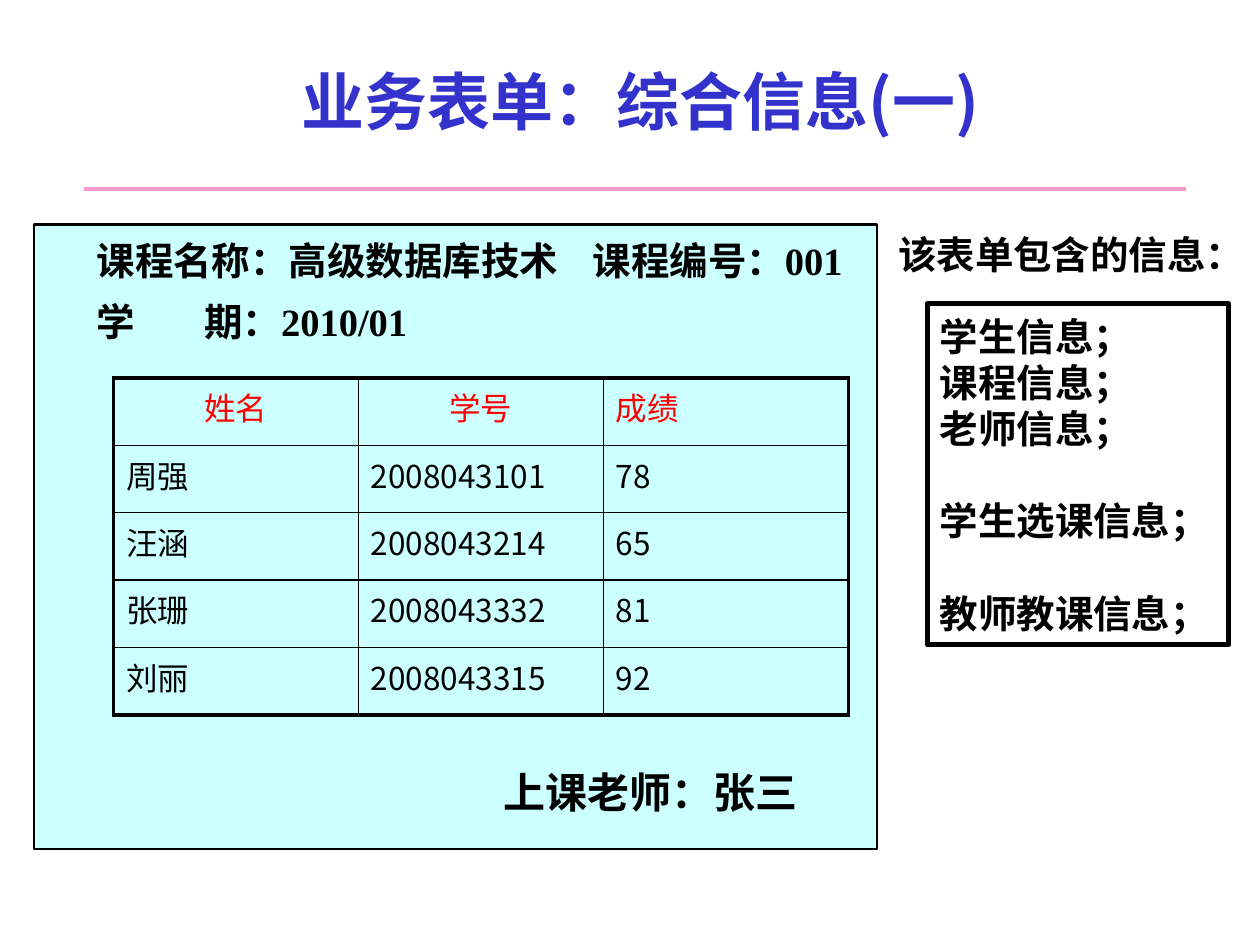
from typing import NamedTuple

import lxml.etree
import pptx
import pptx.dml.color
import pptx.enum.shapes
import pptx.enum.text
import pptx.oxml.ns
import pptx.util

Pt = pptx.util.Pt
Align = pptx.enum.text.PP_ALIGN
Anchor = pptx.enum.text.MSO_ANCHOR
qn = pptx.oxml.ns.qn
CJK = "Noto Sans CJK SC"
LATIN = "Times New Roman"
BLACK = "000000"
LINE_HEIGHT = 26.4


class Line(NamedTuple):
    text: str
    before: float = 0
    tab: float = 0


class Label(NamedTuple):
    left: float
    top: float
    width: float
    height: float
    size: float
    lines: list[Line]


COURSE = Label(48.2, 131.8, 452, 70.6, 22, [
    Line("课程名称：高级数据库技术\t课程编号：001", tab=283.5),
    Line("学\t期：2010/01", before=8.6, tab=61.5),
])
TEACHER = Label(280.8, 434.2, 183.6, 36, 24, [Line("上课老师：张三")])
HEADING = Label(506.2, 128.2, 213.8, 33.8, 22, [Line("该表单包含的信息：")])
CONTENTS = Label(530, 173.5, 172, 195, 22, [
    Line("学生信息；"),
    Line("课程信息；"),
    Line("老师信息；"),
    Line("学生选课信息；", before=LINE_HEIGHT),
    Line("教师教课信息；", before=LINE_HEIGHT),
])
GRADES = [
    ("姓名", "学号", "成绩"),
    ("周强", "2008043101", "78"),
    ("汪涵", "2008043214", "65"),
    ("张珊", "2008043332", "81"),
    ("刘丽", "2008043315", "92"),
]


def rgb(value: str) -> pptx.dml.color.RGBColor:
    return pptx.dml.color.RGBColor.from_string(value)


def style(para, size: float, name: str, color: str = BLACK, bold: bool = False) -> None:
    font = para.font
    font.size, font.name, font.bold = Pt(size), name, bold
    font.color.rgb = rgb(color)
    properties = para._p.get_or_add_pPr().find(qn("a:defRPr"))
    lxml.etree.SubElement(properties, qn("a:ea"), typeface=CJK)


def write_lines(frame, label: Label, wrap: bool) -> None:
    frame.word_wrap = wrap
    for index, line in enumerate(label.lines):
        para = frame.paragraphs[0] if index == 0 else frame.add_paragraph()
        para.text = line.text
        para.alignment = Align.LEFT
        if line.before:
            para.space_before = Pt(line.before)
        if line.tab:
            tabs = lxml.etree.SubElement(para._p.get_or_add_pPr(), qn("a:tabLst"))
            lxml.etree.SubElement(tabs, qn("a:tab"), pos=str(Pt(line.tab)), algn="l")
        style(para, label.size, LATIN, bold=True)


def add_label(page, label: Label, wrap: bool = False) -> None:
    box = page.shapes.add_textbox(*map(Pt, label[:4]))
    box.text_frame.margin_right = 0
    write_lines(box.text_frame, label, wrap)


def add_panel(page, left: float, top: float, width: float, height: float,
              weight: float, fill: str | None = None):
    panel = page.shapes.add_shape(pptx.enum.shapes.MSO_SHAPE.RECTANGLE,
                                  Pt(left), Pt(top), Pt(width), Pt(height))
    panel.shadow.inherit = False
    if fill:
        panel.fill.solid()
        panel.fill.fore_color.rgb = rgb(fill)
    else:
        panel.fill.background()
    panel.line.color.rgb = rgb(BLACK)
    panel.line.width = Pt(weight)
    return panel


def add_title(page, text: str) -> None:
    title = page.shapes.title
    title.left, title.top, title.width, title.height = map(Pt, (60, 12.2, 612, 90))
    title.text_frame.vertical_anchor = Anchor.MIDDLE
    para = title.text_frame.paragraphs[0]
    para.text = text
    para.alignment = Align.CENTER
    style(para, 36, CJK, "3333CC", bold=True)


def add_rule(page) -> None:
    rule = page.shapes.add_connector(pptx.enum.shapes.MSO_CONNECTOR.STRAIGHT,
                                     Pt(48), Pt(108), Pt(678), Pt(108))
    rule.line.color.rgb = rgb("FF99CC")
    rule.line.width = Pt(2)
    lxml.etree.SubElement(rule._element.spPr, qn("a:effectLst"))


def set_borders(cell, outer_sides: dict[str, bool]) -> None:
    """Draw a heavy line on the outer sides and a thin one on the others."""
    properties = cell._tc.get_or_add_tcPr()
    for side, outer in outer_sides.items():
        border = lxml.etree.SubElement(properties, qn(f"a:ln{side}"),
                                       w=str(Pt(2.25 if outer else 1)))
        fill = lxml.etree.SubElement(border, qn("a:solidFill"))
        lxml.etree.SubElement(fill, qn("a:srgbClr"), val=BLACK)


def add_grades(page) -> None:
    row_count, column_count = len(GRADES), len(GRADES[0])
    table = page.shapes.add_table(row_count, column_count, Pt(64.8), Pt(216),
                                  Pt(420), Pt(192.5)).table
    table.first_row = table.horz_banding = False
    for row, values in enumerate(GRADES):
        for column, value in enumerate(values):
            cell = table.cell(row, column)
            set_borders(cell, {"L": column == 0, "R": column == column_count - 1,
                               "T": row == 0, "B": row == row_count - 1})
            cell.fill.background()
            para = cell.text_frame.paragraphs[0]
            para.text = value
            centred = row == 0 and column < 2
            para.alignment = Align.CENTER if centred else Align.LEFT
            style(para, 18, CJK, "FF0000" if row == 0 else BLACK)


def main() -> None:
    deck = pptx.Presentation()
    deck.slide_width, deck.slide_height = Pt(720), Pt(540)
    page = deck.slides.add_slide(deck.slide_layouts.get_by_name("Title Only"))
    add_rule(page)
    add_panel(page, 19.5, 128.2, 481.7, 357, 1.5, "CCFFFF")
    add_title(page, "业务表单：综合信息(一)")
    add_grades(page)
    add_label(page, COURSE, wrap=True)
    add_label(page, TEACHER)
    frame = add_panel(page, *CONTENTS[:4], 3).text_frame
    frame.vertical_anchor = Anchor.MIDDLE
    write_lines(frame, CONTENTS, wrap=False)
    add_label(page, HEADING)
    deck.save("out.pptx")


if __name__ == "__main__":
    main()
